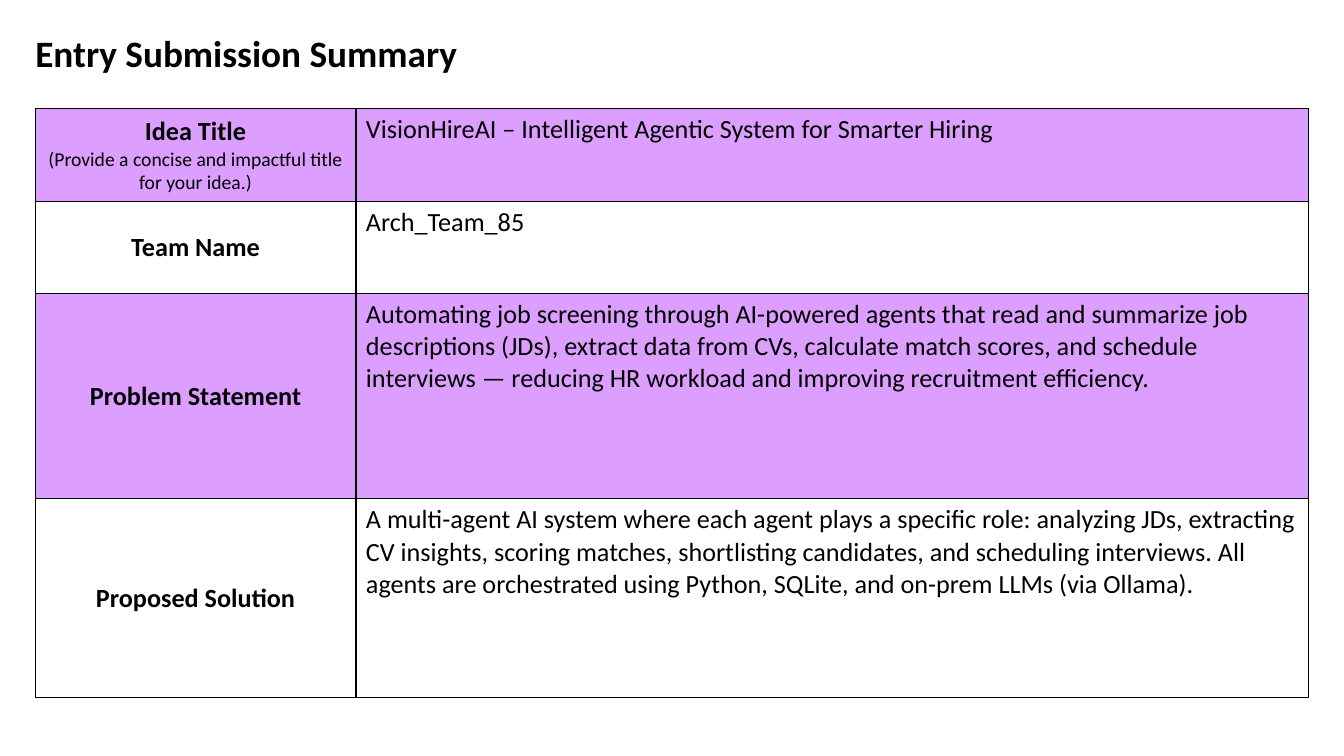
from dataclasses import dataclass

from lxml.etree import SubElement
from pptx import Presentation
from pptx.dml.color import RGBColor
from pptx.enum.text import MSO_ANCHOR, PP_ALIGN
from pptx.oxml.ns import qn
from pptx.util import Inches, Pt


@dataclass(frozen=True)
class Theme:
    font: str = "Calibri"
    ink: str = "000000"
    band: str = "DD9FFF"
    plain: str = "FFFFFF"
    title: float = 26.6
    body: float = 18.7
    hint: float = 14
    rule: float = 0.96


THEME = Theme()
COLS = [3.18, 9.45]
ROWS = [
    (0.92, "Idea Title", "(Provide a concise and impactful title for your idea.)",
     "VisionHireAI – Intelligent Agentic System for Smarter Hiring"),
    (0.91, "Team Name", "", "Arch_Team_85"),
    (2.04, "Problem Statement", "",
     "Automating job screening through AI-powered agents that read and summarize "
     "job descriptions (JDs), extract data from CVs, calculate match scores, and "
     "schedule interviews — reducing HR workload and improving recruitment efficiency."),
    (1.97, "Proposed Solution", "",
     "A multi-agent AI system where each agent plays a specific role: analyzing JDs, "
     "extracting CV insights, scoring matches, shortlisting candidates, and scheduling "
     "interviews. All agents are orchestrated using Python, SQLite, and on-prem LLMs "
     "(via Ollama)."),
]


def write(para, text, size=THEME.body, bold=False, align=PP_ALIGN.LEFT):
    """Add one formatted run to a paragraph."""
    para.alignment = align
    run = para.add_run()
    run.text = text
    font = run.font
    font.name, font.size, font.bold = THEME.font, Pt(size), bold
    font.color.rgb = RGBColor.from_string(THEME.ink)


def paint(cell, color):
    """Give a cell its four borders, then its fill."""
    props = cell._tc.get_or_add_tcPr()
    for side in ("a:lnL", "a:lnR", "a:lnT", "a:lnB"):
        line = SubElement(props, qn(side), w=str(Pt(THEME.rule)))
        fill = SubElement(line, qn("a:solidFill"))
        SubElement(fill, qn("a:srgbClr"), val=THEME.ink)
    cell.fill.solid()
    cell.fill.fore_color.rgb = RGBColor.from_string(color)


def add_title(slide, text, left, top, width, height):
    box = slide.shapes.add_textbox(
        Inches(left), Inches(top), Inches(width), Inches(height))
    frame = box.text_frame
    frame.word_wrap = True
    frame.margin_left = frame.margin_top = frame.margin_bottom = 0
    frame.margin_right = Inches(0.13)
    para = frame.paragraphs[0]
    para.line_spacing = 0.8
    write(para, text, size=THEME.title, bold=True)


def add_summary(slide, rows, left, top, width, height):
    """Place the table of labels and answers, with every other row tinted."""
    table = slide.shapes.add_table(
        len(rows), len(COLS), Inches(left), Inches(top),
        Inches(width), Inches(height)).table
    table.first_row = table.horz_banding = False
    for col, share in zip(table.columns, COLS):
        col.width = Inches(width * share / sum(COLS))
    total = sum(row[0] for row in rows)
    for i, (share, label, hint, answer) in enumerate(rows):
        table.rows[i].height = Inches(height * share / total)
        head, body = table.cell(i, 0), table.cell(i, 1)
        for cell in (head, body):
            paint(cell, THEME.plain if i % 2 else THEME.band)
        head.vertical_anchor = MSO_ANCHOR.MIDDLE
        para = head.text_frame.paragraphs[0]
        write(para, label, bold=True, align=PP_ALIGN.CENTER)
        if hint:
            para.add_line_break()
            write(para, hint, size=THEME.hint, align=PP_ALIGN.CENTER)
        write(body.text_frame.paragraphs[0], answer)


def main():
    deck = Presentation()
    deck.slide_width, deck.slide_height = Inches(13.33), Inches(7.5)
    slide = deck.slides.add_slide(deck.slide_layouts[6])
    add_title(slide, "Entry Submission Summary", 0.35, 0.39, 12.28, 0.93)
    add_summary(slide, ROWS, 0.35, 1.08, 12.63, 5.84)
    deck.save("out.pptx")


if __name__ == "__main__":
    main()
